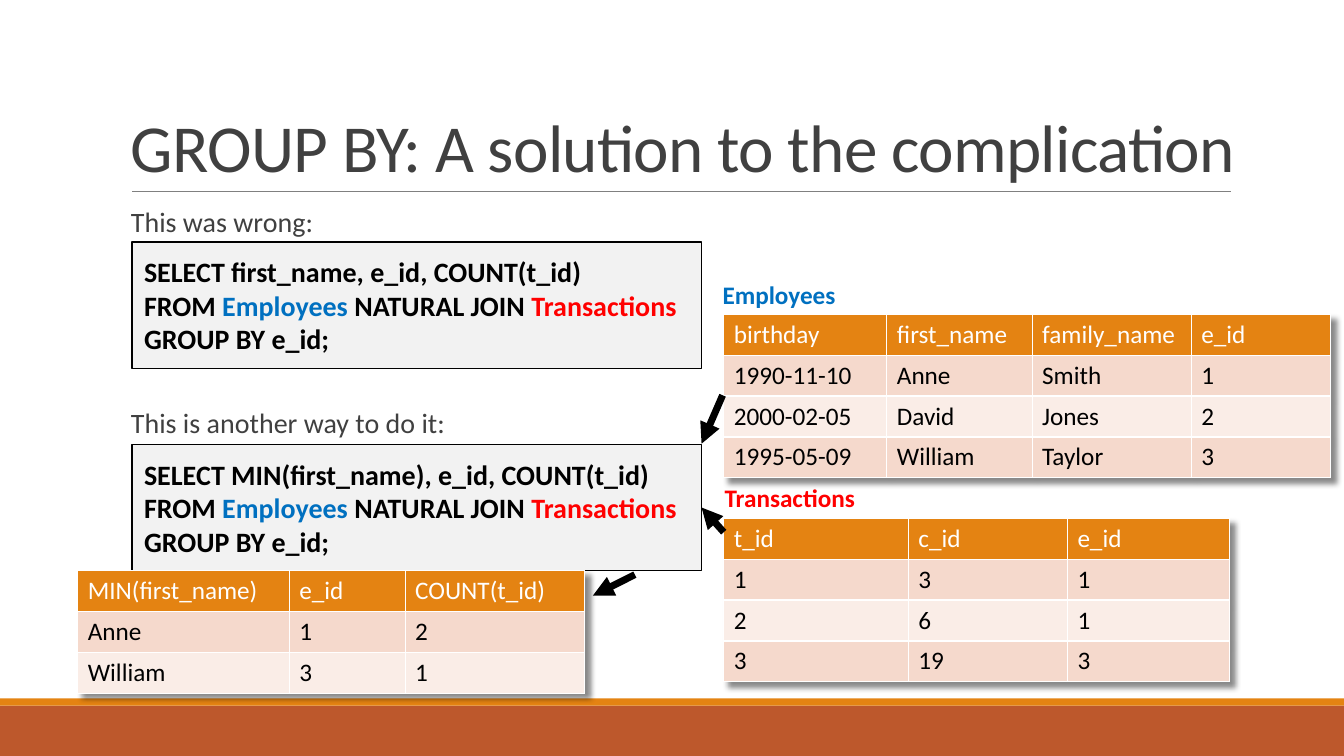
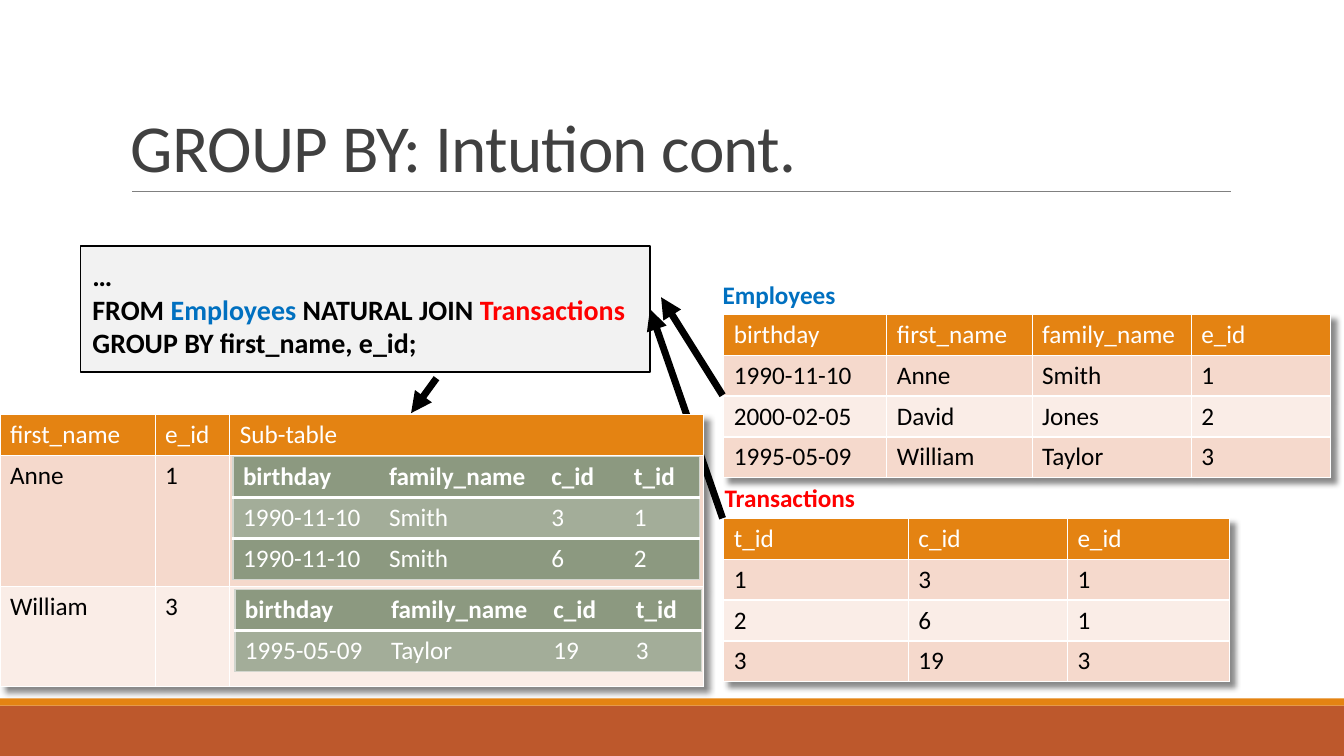
from lxml import etree
from pptx import Presentation
from pptx.dml.color import RGBColor
from pptx.enum.shapes import MSO_CONNECTOR, MSO_SHAPE
from pptx.enum.text import MSO_ANCHOR, PP_ALIGN
from pptx.oxml.ns import qn
from pptx.util import Cm, Pt

RECTANGLE = MSO_SHAPE.RECTANGLE
STRAIGHT = MSO_CONNECTOR.STRAIGHT
TOP, MIDDLE, BOTTOM = MSO_ANCHOR.TOP, MSO_ANCHOR.MIDDLE, MSO_ANCHOR.BOTTOM
LEFT = PP_ALIGN.LEFT
RIGHT_SIDE = 3
NO_GRID_STYLE = "{2D5ABB26-0587-4C30-8999-92F81FD0307C}"

COLORS = {
    "band": "BD582C", "accent": "E48312", "rule": "808080", "body": "404040",
    "black": "000000", "white": "FFFFFF", "code": "F2F2F2",
    "employees": "0070C0", "transactions": "FF0000",
    "row_dark": "F5D9CC", "row_light": "FAEDE7",
    "green": "8C9980", "green_light": "A3AD99", "green_edge": "D2D6CF",
}
TEXT_STYLES = {
    "title": {"size": Pt(48), "bold": False},
    "body": {"size": Pt(20), "bold": False},
    "code": {"size": Pt(20), "bold": True},
    "label": {"size": Pt(18), "bold": True},
    "cell": {"size": Pt(18), "bold": False},
}
# Header fill, alternating row fills, text colour and style of each table kind
TABLE_STYLES = {
    "main": {"header": "accent", "rows": ("row_dark", "row_light"),
             "text": "black", "header_text": "cell"},
    "nested": {"header": "green", "rows": ("green_light", "green"),
               "text": "white", "header_text": "label"},
}
ROW_HEIGHT = 1.03
CODE_SIZE = (14.35, 3.18)
TABLES_LEFT = 18.24

JOIN_LINE = [("FROM ", "black"), ("Employees", "employees"),
             (" NATURAL JOIN ", "black"), ("Transactions", "transactions")]
EMPLOYEES = [
    ["birthday", "first_name", "family_name", "e_id"],
    ["1990-11-10", "Anne", "Smith", "1"],
    ["2000-02-05", "David", "Jones", "2"],
    ["1995-05-09", "William", "Taylor", "3"],
]
TRANSACTIONS = [["t_id", "c_id", "e_id"], ["1", "3", "1"],
                ["2", "6", "1"], ["3", "19", "3"]]
NESTED_HEADER = ["birthday", "family_name", "c_id", "t_id"]
NESTED_WIDTHS = (3.68, 4.09, 2.08, 1.91)


def rgb(name):
    return RGBColor.from_string(COLORS[name])


def set_values(target, values):
    for key, value in values.items():
        setattr(target, key, value)


class Deck:
    def __init__(self):
        self.prs = Presentation()
        self.prs.slide_width, self.prs.slide_height = Cm(33.87), Cm(19.05)
        self.slide = None

    def new_slide(self, title):
        self.slide = self.prs.slides.add_slide(self.prs.slide_layouts[6])
        self.box(0, 17.78, 33.87, 1.27, "band")
        self.box(0, 17.6, 33.87, 0.18, "accent")
        self.line((3.33, 4.83), (31.01, 4.83), "rule", 0.5)
        heading = self.text(3.05, 0.79, 29.46, 4.04, [[(title, "body")]],
                            "title", vertical_anchor=BOTTOM).paragraphs[0]
        heading.line_spacing = 0.85
        heading.runs[0].font._element.set("spc", "-50")

    def add_runs(self, paragraph, runs, style):
        paragraph.alignment = LEFT
        for content, color in runs:
            run = paragraph.add_run()
            run.text = content
            run.font.name = "Calibri"
            run.font.color.rgb = rgb(color)
            set_values(run.font, TEXT_STYLES[style])

    def fill_frame(self, frame, lines, style, values):
        set_values(frame, {"word_wrap": True, **values})
        for index, runs in enumerate(lines):
            paragraph = frame.add_paragraph() if index else frame.paragraphs[0]
            self.add_runs(paragraph, runs, style)
        return frame

    def text(self, left, top, width, height, lines, style, **values):
        box = self.slide.shapes.add_textbox(Cm(left), Cm(top), Cm(width), Cm(height))
        return self.fill_frame(box.text_frame, lines, style, values)

    def box(self, left, top, width, height, fill):
        shape = self.slide.shapes.add_shape(
            RECTANGLE, Cm(left), Cm(top), Cm(width), Cm(height))
        shape.shadow.inherit = False
        shape.fill.solid()
        shape.fill.fore_color.rgb = rgb(fill)
        shape.line.fill.background()
        return shape

    def code(self, left, top, first_line, last_line):
        shape = self.box(left, top, *CODE_SIZE, "code")
        shape.line.color.rgb = rgb("black")
        shape.line.width = Pt(1)
        margins = {f"margin_{side}": Cm(0.3)
                   for side in ("left", "top", "right", "bottom")}
        lines = [[(first_line, "black")], JOIN_LINE, [(last_line, "black")]]
        self.fill_frame(shape.text_frame, lines, "code",
                        {"vertical_anchor": MIDDLE, **margins})
        return shape

    def line(self, start, end, color, width):
        connector = self.slide.shapes.add_connector(
            STRAIGHT, *(Cm(value) for value in (*start, *end)))
        connector.line.color.rgb = rgb(color)
        connector.line.width = Pt(width)
        etree.SubElement(connector._element.spPr, qn("a:effectLst"))
        return connector

    def arrow(self, start, end=None, target=None):
        connector = self.line(start, end or start, "black", 5)
        if target is not None:
            connector.end_connect(target, RIGHT_SIDE)
        outline = connector._element.spPr.find(qn("a:ln"))
        etree.SubElement(outline, qn("a:tailEnd"), type="triangle")

    def border(self, cell, side, color, width):
        edge = etree.SubElement(cell._tc.get_or_add_tcPr(), qn(f"a:ln{side}"),
                                w=str(Pt(width)))
        solid = etree.SubElement(edge, qn("a:solidFill"))
        etree.SubElement(solid, qn("a:srgbClr"), val=COLORS[color])

    def table_shadow(self, properties):
        effects = etree.Element(qn("a:effectLst"))
        shadow = etree.SubElement(effects, qn("a:outerShdw"), blurRad="50800",
                                  dist="63500", dir="2700000", algn="tl")
        color = etree.SubElement(shadow, qn("a:srgbClr"), val=COLORS["black"])
        etree.SubElement(color, qn("a:alpha"), val="45000")
        properties.insert(0, effects)

    def cell_borders(self, cell, kind, row, column, last_row, last_column):
        if kind == "main":
            for side in "LRTB":
                self.border(cell, side, "white", 1)
            return
        outer = {"L": column == 0, "R": column == last_column,
                 "T": row == 0, "B": row == last_row}
        header_edge = {0: "B", 1: "T"}.get(row)
        for side, is_outer in outer.items():
            if is_outer:
                self.border(cell, side, "green_edge", 1)
            elif side == header_edge:
                self.border(cell, side, "white", 2)

    def table(self, left, top, widths, rows, kind="main", heights=None):
        style = TABLE_STYLES[kind]
        heights = heights or [ROW_HEIGHT] * len(rows)
        table = self.slide.shapes.add_table(
            len(rows), len(widths), Cm(left), Cm(top),
            Cm(sum(widths)), Cm(sum(heights))).table
        properties = table._tbl.tblPr
        properties.find(qn("a:tableStyleId")).text = NO_GRID_STYLE
        if kind == "main":
            self.table_shadow(properties)
        for column, width in zip(table.columns, widths):
            column.width = Cm(width)
        for r, (values, height) in enumerate(zip(rows, heights)):
            table.rows[r].height = Cm(height)
            fill = style["rows"][(r - 1) % 2] if r else style["header"]
            color = style["text"] if r else "white"
            text_style = "cell" if r else style["header_text"]
            for c, value in enumerate(values):
                cell = table.cell(r, c)
                self.cell_borders(cell, kind, r, c, len(rows) - 1, len(widths) - 1)
                cell.fill.solid()
                cell.fill.fore_color.rgb = rgb(fill)
                cell.vertical_anchor = TOP
                if value:
                    self.add_runs(cell.text_frame.paragraphs[0],
                                  [(value, color)], text_style)

    def source_tables(self):
        self.table(TABLES_LEFT, 7.92, (4.11, 3.66, 4.01, 3.51), EMPLOYEES)
        self.text(17.96, 6.91, 4.2, 1.02, [[("Employees", "employees")]], "label")
        self.table(TABLES_LEFT, 13.06, (4.65, 4.01, 4.09), TRANSACTIONS)
        self.text(18.01, 12.04, 4.2, 1.02, [[("Transactions", "transactions")]], "label")


def solution_slide(deck):
    deck.new_slide("GROUP BY: A solution to the complication")
    # Remarks above the two queries
    remarks = deck.text(3.3, 5.13, 14.4, 6.2,
                        [[("This was wrong:", "body")],
                         [("This is another way to do it:", "body")]],
                        "body", margin_left=0, margin_right=0)
    for paragraph, before in zip(remarks.paragraphs, (0, 120)):
        set_values(paragraph, {"line_spacing": 0.9, "space_before": Pt(before),
                               "space_after": Pt(2)})
    deck.source_tables()
    # Queries and result
    deck.code(3.33, 6.1, "SELECT first_name, e_id, COUNT(t_id)", "GROUP BY e_id;")
    min_query = deck.code(3.33, 11.2, "SELECT MIN(first_name), e_id, COUNT(t_id)",
                          "GROUP BY e_id;")
    deck.table(1.96, 14.38, (5.33, 2.92, 4.52),
               [["MIN(first_name)", "e_id", "COUNT(t_id)"],
                ["Anne", "1", "2"], ["William", "3", "1"]])
    deck.arrow((TABLES_LEFT, 13.41), target=min_query)
    deck.arrow((18.21, 9.96), (17.68, 11.18))
    deck.arrow((16, 14.48), (14.94, 15.01))


def intuition_slide(deck):
    deck.new_slide("GROUP BY: Intution cont.")
    deck.source_tables()
    # Query with arrows from its source tables
    query = deck.code(2.03, 6.2, "…", "GROUP BY first_name, e_id;")
    deck.arrow((18.21, 13.06), target=query)
    deck.arrow((18.21, 9.96), (16.66, 7.49))
    # Groups, each holding a nested table
    deck.table(0, 10.44, (3.91, 1.88, 11.94),
               [["first_name", "e_id", "Sub-table"],
                ["Anne", "1", ""], ["William", "3", ""]],
               heights=(ROW_HEIGHT, 3.3, 2.53))
    deck.table(5.87, 11.51, NESTED_WIDTHS,
               [NESTED_HEADER, ["1990-11-10", "Smith", "3", "1"],
                ["1990-11-10", "Smith", "6", "2"]], "nested")
    deck.table(5.92, 14.86, NESTED_WIDTHS,
               [NESTED_HEADER, ["1995-05-09", "Taylor", "19", "3"]], "nested")
    deck.arrow((11, 9.53), (10.36, 10.41))


def main():
    deck = Deck()
    solution_slide(deck)
    intuition_slide(deck)
    deck.prs.save("out.pptx")


if __name__ == "__main__":
    main()
